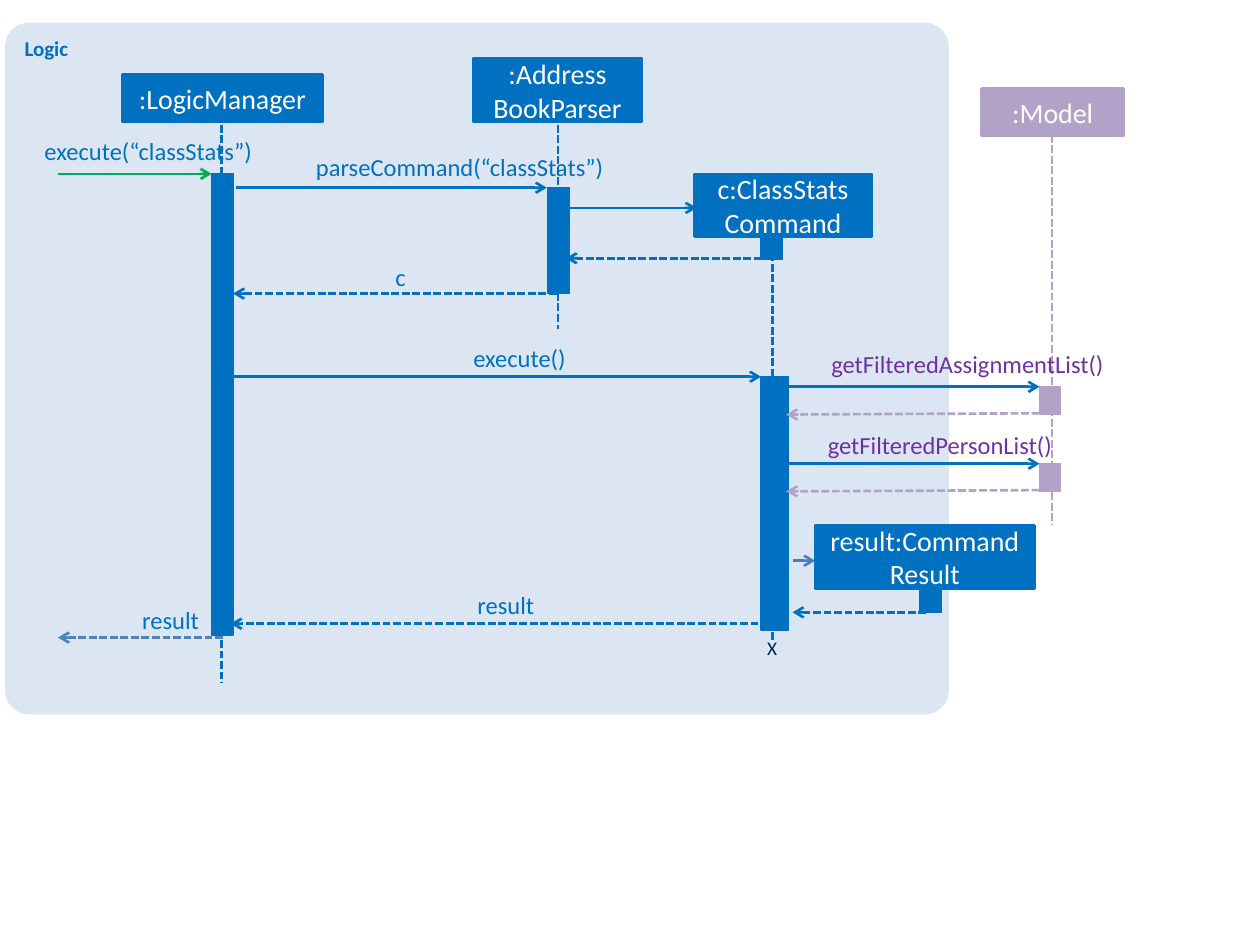
"""Build the sequence diagram of the classStats command."""
import pptx
import pptx.dml.color
import pptx.enum.dml
import pptx.enum.shapes
import pptx.enum.text
import pptx.oxml
import pptx.oxml.ns
import pptx.util
from pptx.util import Inches

RGBColor = pptx.dml.color.RGBColor
BLUE = RGBColor(0x00, 0x70, 0xC0)
PALE_BLUE = RGBColor(0xDC, 0xE6, 0xF2)
STEEL = RGBColor(0x4F, 0x81, 0xBD)
CREATE_BLUE = RGBColor(0x4B, 0x7E, 0xBC)
NAVY = RGBColor(0x00, 0x20, 0x60)
GREEN = RGBColor(0x00, 0xB0, 0x50)
LILAC = RGBColor(0xB3, 0xA2, 0xC7)
PURPLE = RGBColor(0x70, 0x30, 0xA0)
WHITE = RGBColor(0xFF, 0xFF, 0xFF)

SHAPE = pptx.enum.shapes.MSO_SHAPE
ALIGN = pptx.enum.text.PP_ALIGN
ANCHOR = pptx.enum.text.MSO_ANCHOR
GROW = pptx.enum.text.MSO_AUTO_SIZE.SHAPE_TO_FIT_TEXT
BAR_WIDTH = 0.17
LABEL_HEIGHT = 0.24

FRAME = ("Logic", 0.04, 0.18, 7.49, 5.49)
LIFELINES = [
    (1.76, 0.99, 5.42, BLUE), (4.43, 0.99, 2.61, BLUE),
    (6.13, 1.76, 5.08, BLUE), (8.35, 1.07, 4.17, LILAC),
]
ACTIVATIONS = [
    (1.68, 1.38, BAR_WIDTH, 3.66, BLUE), (4.35, 1.49, BAR_WIDTH, 0.84, BLUE),
    (6.04, 1.76, BAR_WIDTH, 0.3, BLUE), (6.04, 2.99, 0.22, 2.01, BLUE),
    (7.3, 4.67, BAR_WIDTH, 0.19, BLUE),
    (8.25, 3.07, BAR_WIDTH, 0.22, LILAC), (8.25, 3.68, BAR_WIDTH, 0.22, LILAC),
]
CALLS = [
    (0.46, 1.38, 1.68, 1.38, GREEN), (1.87, 1.49, 4.34, 1.49, BLUE),
    (4.52, 1.65, 5.53, 1.65, BLUE), (1.85, 2.99, 6.04, 2.99, BLUE),
    (6.24, 3.07, 8.25, 3.07, BLUE), (6.24, 3.68, 8.25, 3.68, BLUE),
    (6.29, 4.45, 6.47, 4.45, CREATE_BLUE),
]
REPLIES = [
    (6.13, 2.05, 4.49, 2.05, BLUE), (4.42, 2.33, 1.85, 2.33, BLUE),
    (8.25, 3.28, 6.24, 3.29, LILAC), (8.25, 3.89, 6.24, 3.9, LILAC),
    (7.35, 4.86, 6.29, 4.86, BLUE), (6.02, 4.95, 1.83, 4.95, BLUE),
    (1.77, 5.06, 0.46, 5.06, STEEL),
]
PARTICIPANTS = [
    (":LogicManager", 0.97, 0.59, 1.59, 0.38, BLUE),
    (":Address\nBookParser", 3.76, 0.46, 1.33, 0.51, BLUE),
    ("c:ClassStats\vCommand", 5.51, 1.38, 1.41, 0.5, BLUE),
    (":Model", 7.79, 0.7, 1.13, 0.38, LILAC),
    ("result:Command Result", 6.47, 4.17, 1.74, 0.5, BLUE),
]
LABELS = [
    ("execute(“classStats”)", 0.04, 1.08, 1.96, BLUE),
    ("parseCommand(“classStats”)", 2.06, 1.21, 2.73, BLUE),
    ("c", 2.98, 2.08, 0.24, BLUE),
    ("execute()", 3.55, 2.72, 0.94, BLUE),
    ("getFilteredAssignmentList()", 6.35, 2.77, 2.41, PURPLE),
    ("getFilteredPersonList()", 6.35, 3.41, 2, PURPLE),
    ("result", 3.56, 4.68, 0.68, BLUE),
    ("result", 0.75, 4.8, 0.83, BLUE),
]
DESTROYED = ("X", 5.99, 5, 0.28, 0.29)


def set_values(target, values):
    for name, value in values.items():
        setattr(target, name, value)


def write(shape, text, size, color, align, bold=False, **frame_values):
    frame = shape.text_frame
    set_values(frame, {"word_wrap": True, "text": text, **frame_values})
    for paragraph in frame.paragraphs:
        paragraph.alignment = align
        for run in paragraph.runs:
            set_values(run.font, {"name": "Calibri", "size": pptx.util.Pt(size), "bold": bold})
            run.font.color.rgb = color


def add_block(slide, kind, bounds, fill, line_width=0):
    shape = slide.shapes.add_shape(kind, *map(Inches, bounds))
    shape.shadow.inherit = False
    shape.fill.solid()
    shape.fill.fore_color.rgb = fill
    if line_width:
        shape.line.color.rgb = fill
        shape.line.width = pptx.util.Pt(line_width)
    else:
        shape.line.fill.background()
    return shape


def add_line(slide, ends, color, dashed, arrow):
    connector = slide.shapes.add_connector(
        pptx.enum.shapes.MSO_CONNECTOR.STRAIGHT, *map(Inches, ends))
    connector.line.color.rgb = color
    connector.line.width = pptx.util.Pt(1.5)
    if dashed:
        connector.line.dash_style = pptx.enum.dml.MSO_LINE.SQUARE_DOT
    namespace = pptx.oxml.ns.nsdecls("a")
    if arrow:
        connector.line._get_or_add_ln().append(
            pptx.oxml.parse_xml(f'<a:tailEnd {namespace} type="arrow"/>'))
    connector._element.spPr.append(pptx.oxml.parse_xml(f"<a:effectLst {namespace}/>"))


def add_text(slide, text, bounds, size, color, align, **frame_values):
    box = slide.shapes.add_textbox(*map(Inches, bounds))
    write(box, text, size, color, align, auto_size=GROW, **frame_values)


presentation = pptx.Presentation()
set_values(presentation, {"slide_width": Inches(10), "slide_height": Inches(7.5)})
slide = presentation.slides.add_slide(presentation.slide_layouts[6])

title, *frame_bounds = FRAME
logic = add_block(slide, SHAPE.ROUNDED_RECTANGLE, frame_bounds, PALE_BLUE)
logic.adjustments[0] = 0.035
write(logic, title, 12, BLUE, ALIGN.LEFT, bold=True, vertical_anchor=ANCHOR.TOP)

for x, top, bottom, color in LIFELINES:
    add_line(slide, (x, top, x, bottom), color, dashed=True, arrow=False)
for *bounds, color in ACTIVATIONS:
    add_block(slide, SHAPE.RECTANGLE, bounds, color, 0.75)
for messages, dashed in ((CALLS, False), (REPLIES, True)):
    for *ends, color in messages:
        add_line(slide, ends, color, dashed, arrow=True)
for text, *bounds, color in PARTICIPANTS:
    participant = add_block(slide, SHAPE.RECTANGLE, bounds, color, 1.5)
    write(participant, text, 16, WHITE, ALIGN.CENTER, vertical_anchor=ANCHOR.MIDDLE)

no_margins = {f"margin_{side}": 0 for side in ("left", "top", "right", "bottom")}
for text, left, top, width, color in LABELS:
    add_text(slide, text, (left, top, width, LABEL_HEIGHT), 14, color, ALIGN.RIGHT, **no_margins)
mark, *mark_bounds = DESTROYED
add_text(slide, mark, mark_bounds, 11, NAVY, ALIGN.LEFT)

presentation.save("out.pptx")
